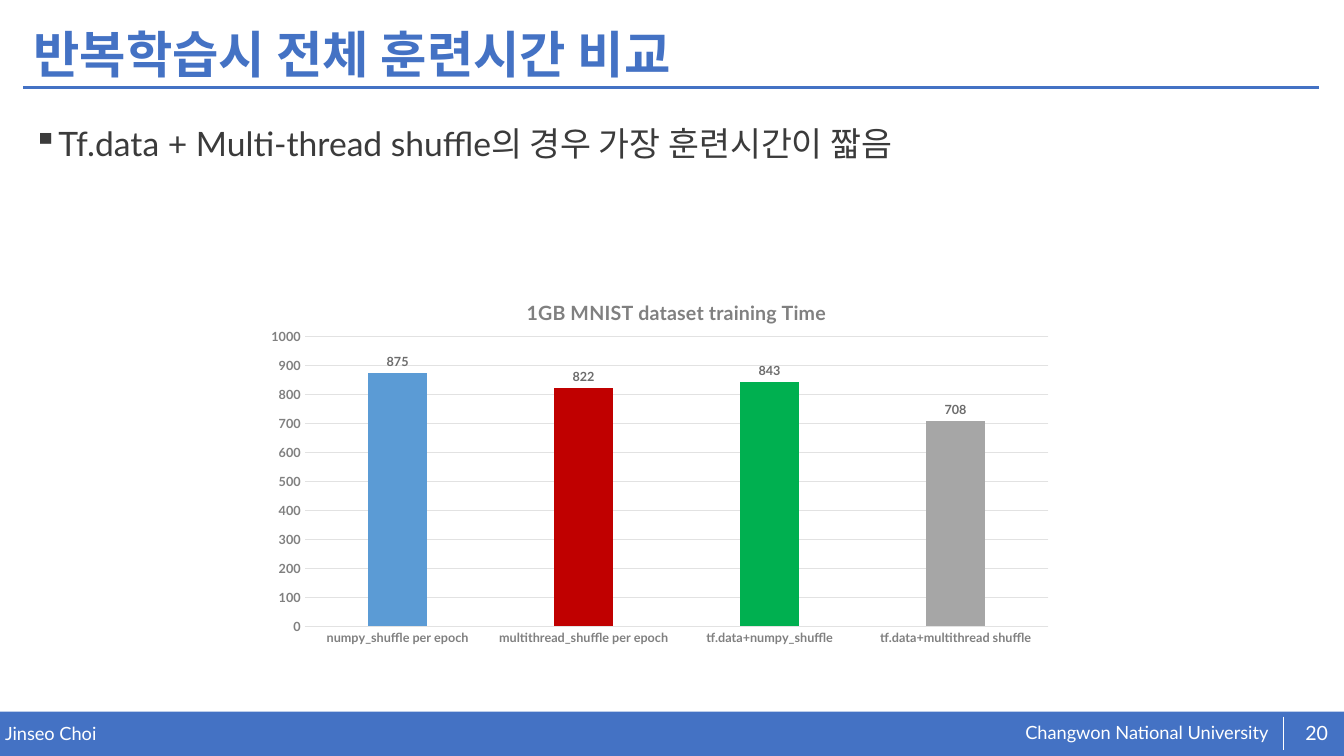
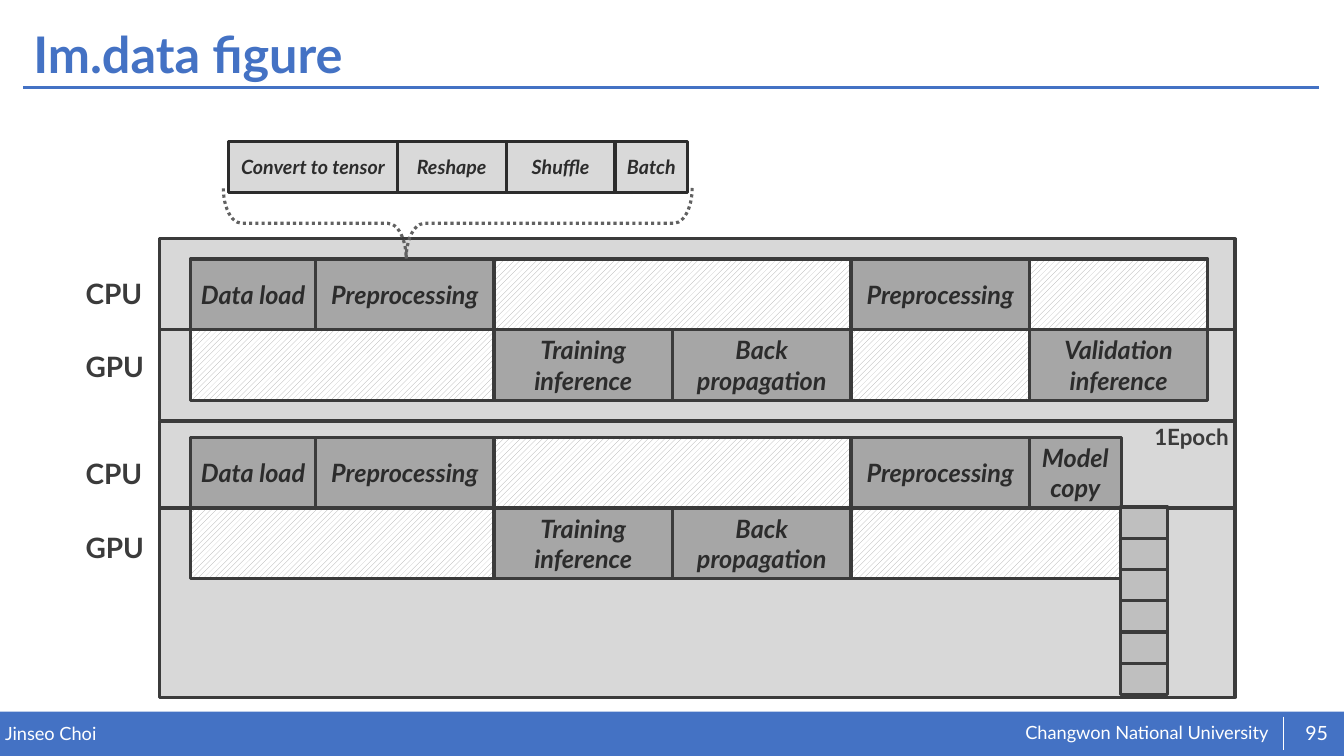
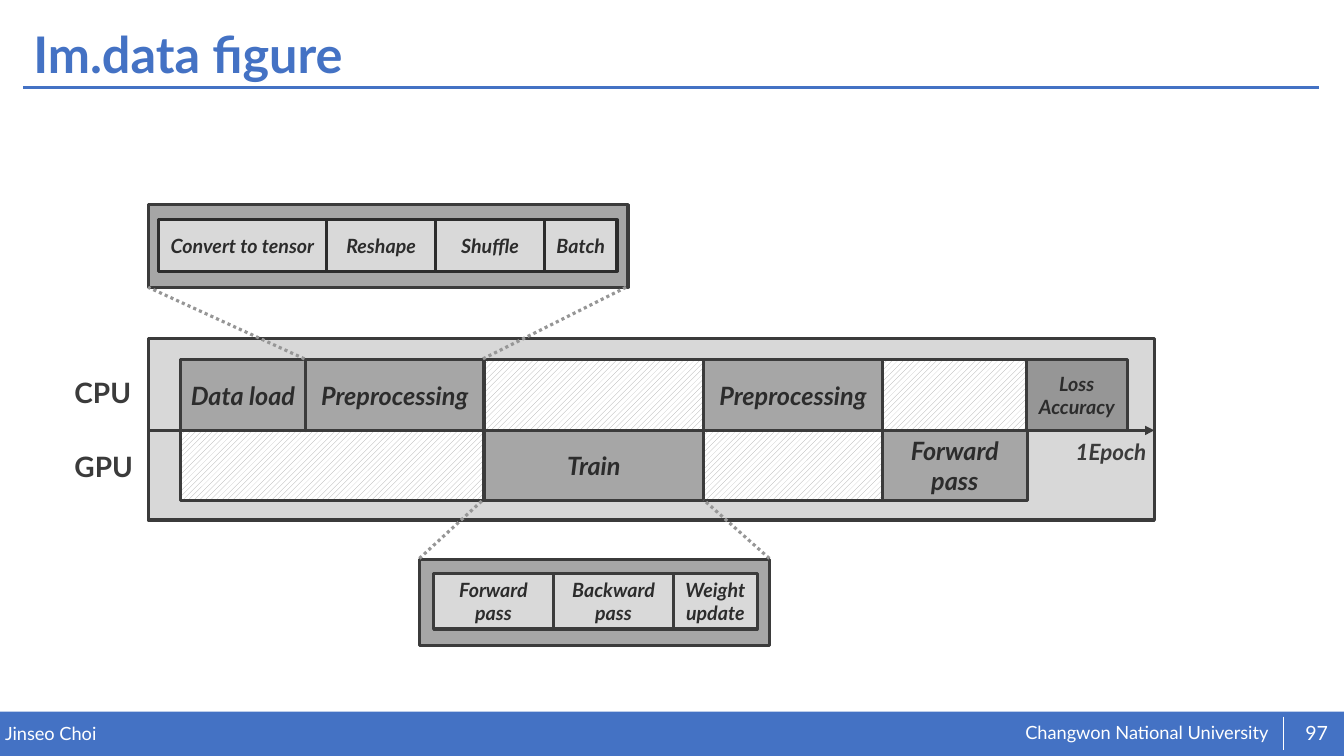
from lxml.etree import SubElement
from pptx import Presentation
from pptx.chart.data import CategoryChartData
from pptx.dml.color import RGBColor
from pptx.enum.chart import XL_CHART_TYPE, XL_LABEL_POSITION, XL_TICK_MARK
from pptx.enum.dml import MSO_LINE, MSO_PATTERN
from pptx.enum.shapes import MSO_CONNECTOR, MSO_SHAPE
from pptx.enum.text import MSO_ANCHOR, MSO_AUTO_SIZE, PP_ALIGN
from pptx.oxml.ns import qn
from pptx.util import Inches, Pt

FONT = "Lato"
COLORS = {
    "blue": "4472C4",
    "white": "FFFFFF",
    "text": "3B3B3B",
    "ink": "2C2C2C",
    "panel": "D8D8D8",
    "step": "D9D9D9",
    "task": "A6A6A6",
    "copy": "BFBFBF",
    "loss": "969696",
    "brace": "616161",
    "axis": "808080",
    "grid": "E2E2E2",
    "value": "6C6C6C",
    "sky": "5B9BD5",
    "red": "C00000",
    "green": "00B050",
}
STEPS = [("Convert to tensor", 1.67), ("Reshape", 1.08), ("Shuffle", 1.08), ("Batch", 0.72)]
LOAD = [("Data load", 1.24), ("Preprocessing", 1.77)]
TRAIN = [(None, 3.01), ("Training inference", 1.77), ("Back propagation", 1.77)]


def color(name):
    return RGBColor.from_string(COLORS[name])


def style_font(font, size, ink, bold=False, italic=False):
    font.name = FONT
    font.size = Pt(size)
    font.bold = bold
    font.italic = italic
    font.color.rgb = color(ink)


def place_in_chart(part, position, **fractions):
    for old in part.findall(qn("c:layout")):
        part.remove(old)
    layout = part.makeelement(qn("c:layout"), {})
    part.insert(position, layout)
    manual = SubElement(layout, qn("c:manualLayout"))
    if "w" in fractions:
        SubElement(manual, qn("c:layoutTarget"), val="inner")
    for side in "xy":
        SubElement(manual, qn(f"c:{side}Mode"), val="edge")
    for side, fraction in fractions.items():
        SubElement(manual, qn(f"c:{side}"), val=str(fraction))


class Deck:
    def __init__(self):
        self.prs = Presentation()
        self.prs.slide_width = Inches(13.33)
        self.prs.slide_height = Inches(7.5)
        self.slide = None

    def start(self, title, number):
        self.slide = self.prs.slides.add_slide(self.prs.slide_layouts[5])
        heading = self.slide.shapes.title
        heading.left, heading.top = Inches(0.23), Inches(0.18)
        heading.width, heading.height = Inches(12.86), Inches(0.77)
        self.set_words(heading.text_frame, title, 36, "blue", bold=True,
                       anchor=MSO_ANCHOR.MIDDLE, spacing=0.9)
        self.box(0, 7.06, 13.33, 0.44, "blue", edge=None)
        self.text("Changwon National University", 10.17, 7.16, 2.56, 0.23, 13, "white", inset=0)
        self.text("Jinseo Choi", 0.05, 7.17, 6.55, 0.22, 13, "white", inset=0)
        self.text(str(number), 12.82, 7.07, 0.48, 0.4, 14, "white", inset=0,
                  align=PP_ALIGN.CENTER, anchor=MSO_ANCHOR.MIDDLE)
        self.line((0.23, 0.87), (13.08, 0.87), "blue", 2)
        self.line((12.73, 7.11), (12.73, 7.44), "white", 0.5)

    def set_words(self, frame, words, size, ink, bold=False, italic=False,
                  align=PP_ALIGN.LEFT, anchor=MSO_ANCHOR.TOP, spacing=None):
        frame.word_wrap = True
        frame.auto_size = MSO_AUTO_SIZE.NONE
        frame.vertical_anchor = anchor
        for index, words_line in enumerate(words.split("\n")):
            paragraph = frame.add_paragraph() if index else frame.paragraphs[0]
            paragraph.alignment = align
            paragraph.line_spacing = spacing
            run = paragraph.add_run()
            run.text = words_line
            style_font(run.font, size, ink, bold, italic)

    def text(self, words, x, y, w, h, size, ink="text", inset=None, **style):
        area = self.slide.shapes.add_textbox(Inches(x), Inches(y), Inches(w), Inches(h))
        frame = area.text_frame
        if inset is not None:
            frame.margin_left = frame.margin_right = Inches(inset)
            frame.margin_top = frame.margin_bottom = Inches(inset)
        self.set_words(frame, words, size, ink, **style)
        return frame

    def bullet(self, words):
        frame = self.text(words, 0.23, 1.01, 12.86, 5.63, 24, spacing=1.4)
        properties = frame.paragraphs[0]._p.get_or_add_pPr()
        properties.set("marL", str(Inches(0.25)))
        properties.set("indent", str(Inches(-0.25)))
        SubElement(properties, qn("a:buChar"), char="▪")

    def box(self, x, y, w, h, fill, words=None, size=18, edge="text"):
        block = self.slide.shapes.add_shape(
            MSO_SHAPE.RECTANGLE, Inches(x), Inches(y), Inches(w), Inches(h))
        block.shadow.inherit = False
        if fill == "idle":
            block.fill.patterned()
            block.fill.pattern = MSO_PATTERN.WIDE_UPWARD_DIAGONAL
            block.fill.fore_color.rgb = color("task")
            block.fill.back_color.rgb = color("white")
        else:
            block.fill.solid()
            block.fill.fore_color.rgb = color(fill)
        if edge:
            block.line.color.rgb = color(edge)
            block.line.width = Pt(2.25)
        else:
            block.line.fill.background()
        if words:
            self.set_words(block.text_frame, words, size, "ink", bold=True, italic=True,
                           align=PP_ALIGN.CENTER, anchor=MSO_ANCHOR.MIDDLE)

    def lane(self, x, y, blocks, h=0.7, fill="task", size=18, edge="text"):
        for words, width in blocks:
            self.box(x, y, width, h, fill if words else "idle", words, size, edge)
            x += width

    def line(self, start, end, ink="text", width=2.25, dotted=False, arrow=False):
        rule = self.slide.shapes.add_connector(
            MSO_CONNECTOR.STRAIGHT, *(Inches(value) for value in (*start, *end)))
        rule.line.color.rgb = color(ink)
        rule.line.width = Pt(width)
        if dotted:
            rule.line.dash_style = MSO_LINE.ROUND_DOT
        if arrow:
            SubElement(rule.line._get_or_add_ln(), qn("a:tailEnd"), type="triangle")
        SubElement(rule._element.spPr, qn("a:effectLst"))

    def brace(self, x, y, w, h):
        bracket = self.slide.shapes.add_shape(
            MSO_SHAPE.LEFT_BRACE, Inches(x), Inches(y), Inches(w), Inches(h))
        bracket.rotation = 270
        bracket.adjustments[0], bracket.adjustments[1] = 0.26, 0.39
        bracket.shadow.inherit = False
        bracket.fill.background()
        bracket.line.color.rgb = color("brace")
        bracket.line.width = Pt(2.25)
        bracket.line.dash_style = MSO_LINE.ROUND_DOT

    def device_panel(self, x, y, w, h, axis_y, cpu_y, gpu_y, arrow=False):
        self.box(x, y, w, h, "panel")
        self.line((x, axis_y), (x + w, axis_y), arrow=arrow)
        for device, top in (("CPU", cpu_y), ("GPU", gpu_y)):
            self.text(device, x - 0.83, top, 1.03, 0.44, 20, bold=True)

    def column_chart(self, title, times, fills, x, y, w, h):
        data = CategoryChartData()
        data.categories = list(times)
        data.add_series("Series 1", times.values())
        chart = self.slide.shapes.add_chart(
            XL_CHART_TYPE.COLUMN_CLUSTERED, Inches(x), Inches(y), Inches(w), Inches(h), data).chart
        style_font(chart.font, 10, "text")
        chart.has_legend = False
        chart.has_title = True
        heading = chart.chart_title.text_frame.paragraphs[0].add_run()
        heading.text = title
        style_font(heading.font, 14, "axis", bold=True)
        place_in_chart(chart.chart_title._element, 1, x=0.33, y=0.06)
        place_in_chart(chart.element.find(".//" + qn("c:plotArea")), 0,
                       x=0.06, y=0.17, w=0.92, h=0.76)
        for axis in (chart.category_axis, chart.value_axis):
            axis.major_tick_mark = axis.minor_tick_mark = XL_TICK_MARK.NONE
            style_font(axis.tick_labels.font, 9, "axis", bold=True)
        seconds = chart.value_axis
        seconds.minimum_scale, seconds.maximum_scale, seconds.major_unit = 0, 1000, 100
        seconds.format.line.fill.background()
        for rule in (chart.category_axis.format.line, seconds.major_gridlines.format.line):
            rule.color.rgb = color("grid")
            rule.width = Pt(0.75)
        plot = chart.plots[0]
        plot.gap_width, plot.overlap, plot.vary_by_categories = 219, -27, False
        series = plot.series[0]
        series.format.fill.solid()
        series.format.fill.fore_color.rgb = color(fills[0])
        for index, fill in enumerate(fills[1:], 1):
            column = series.points[index].format.fill
            column.solid()
            column.fore_color.rgb = color(fill)
        labels = series.data_labels
        labels.show_value = True
        labels.position = XL_LABEL_POSITION.OUTSIDE_END
        style_font(labels.font, 9, "value", bold=True)


def training_time(deck):
    deck.start("반복학습시 전체 훈련시간 비교", 20)
    deck.bullet("Tf.data + Multi-thread shuffle의 경우 가장 훈련시간이 짧음")
    times = {
        "numpy_shuffle per epoch": 875,
        "multithread_shuffle per epoch": 822,
        "tf.data+numpy_shuffle": 843,
        "tf.data+multithread shuffle": 708,
    }
    deck.column_chart("1GB MNIST dataset training Time", times,
                      ["sky", "red", "green", "task"], 2.54, 2.7, 8.02, 3.78)


def two_epochs(deck):
    deck.start("Im.data figure", 95)
    deck.device_panel(1.58, 2.37, 10.67, 1.8, 3.27, 2.69, 3.42)
    deck.lane(2.27, 1.4, STEPS, 0.51, "step", 14, "ink")
    deck.lane(1.89, 2.57, LOAD + [(None, 3.54), ("Preprocessing", 1.77), (None, 1.77)])
    deck.lane(1.89, 3.27, TRAIN + [(None, 1.77), ("Validation\ninference", 1.77)])
    deck.brace(4.19, -0.11, 0.7, 4.65)

    deck.device_panel(1.58, 4.18, 10.67, 2.74, 5.04, 4.48, 5.21)
    deck.lane(1.89, 4.34, LOAD + [(None, 3.54), ("Preprocessing", 1.77), ("Model\ncopy", 0.91)])
    deck.lane(1.89, 5.04, TRAIN + [(None, 2.67)])
    for index in range(6):
        deck.box(11.11, 5.03 + 0.31 * index, 0.47, 0.31, "copy")
    deck.text("1Epoch", 11.35, 4.15, 1.03, 0.37, 16, bold=True)


def one_epoch(deck):
    deck.start("Im.data figure", 97)
    deck.box(1.47, 2.03, 4.76, 0.82, "task")
    deck.lane(1.57, 2.18, STEPS, 0.51, "step", 14, "ink")
    deck.box(4.16, 5.55, 3.47, 0.85, "task")
    deck.lane(4.3, 5.69, [("Forward\npass", 1.19), ("Backward\npass", 1.19), ("Weight\nupdate", 0.83)],
              0.55, "step", 14)
    deck.device_panel(1.47, 3.36, 9.98, 1.8, 4.27, 3.68, 4.41, arrow=True)
    deck.lane(1.79, 3.57, LOAD + [(None, 2.18), ("Preprocessing", 1.77), (None, 1.44)])
    deck.box(10.18, 3.57, 1, 0.7, "loss", "Loss\nAccuracy", 14)
    deck.lane(1.79, 4.27, [(None, 3.01), ("Train", 2.18), (None, 1.77), ("Forward\npass", 1.44)])
    for start, end in (((3.02, 3.56), (1.47, 2.85)), ((4.79, 3.56), (6.21, 2.85)),
                       ((4.16, 5.54), (4.79, 4.96)), ((7.63, 5.54), (6.98, 4.96))):
        deck.line(start, end, "loss", dotted=True)
    deck.text("1Epoch", 10.57, 4.3, 1.21, 0.37, 16, bold=True, italic=True)


def main():
    deck = Deck()
    training_time(deck)
    two_epochs(deck)
    one_epoch(deck)
    deck.prs.save("out.pptx")


if __name__ == "__main__":
    main()
